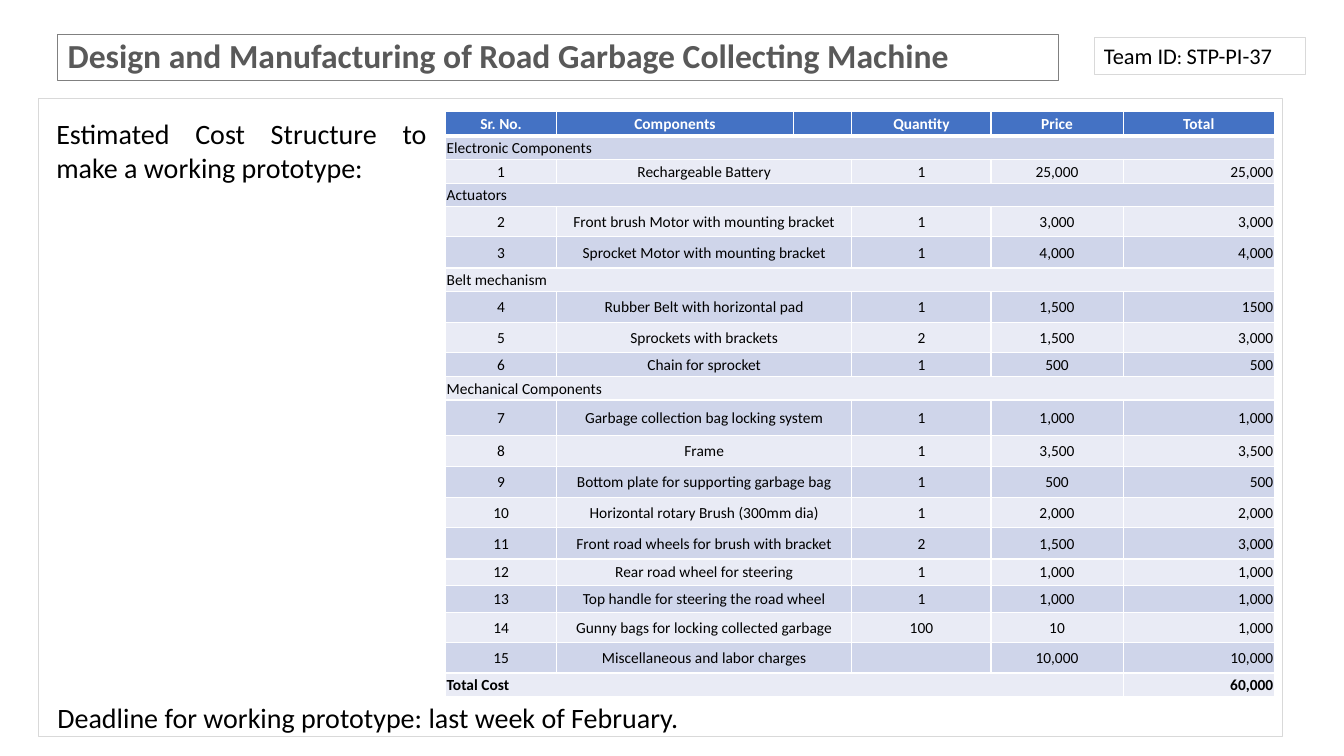
import pptx
import pptx.dml.color
import pptx.enum.shapes
import pptx.enum.text
import pptx.oxml
import pptx.oxml.ns
import pptx.util
from dataclasses import dataclass


@dataclass(frozen=True)
class Theme:
    font: str = "Calibri"
    black: str = "000000"
    white: str = "FFFFFF"
    title_text: str = "595959"
    title_line: str = "808080"
    light_line: str = "D9D9D9"
    header: str = "4472C4"
    bands: tuple = ("E9EBF5", "CFD5EA")
    title_size: int = 24
    body_size: int = 20
    team_size: int = 16
    colon_size: int = 14
    table_size: int = 11


theme = Theme()
color = pptx.dml.color.RGBColor.from_string
align = pptx.enum.text.PP_ALIGN
middle = pptx.enum.text.MSO_ANCHOR.MIDDLE
rectangle = pptx.enum.shapes.MSO_SHAPE.RECTANGLE

deck = pptx.Presentation()
deck.slide_width = pptx.util.Inches(13.33)
deck.slide_height = pptx.util.Inches(7.5)
page = deck.slides.add_slide(deck.slide_layouts[5])


def area(left, top, width, height):
    """Turn percentages of the slide's width and height into lengths."""
    across, down = deck.slide_width / 100, deck.slide_height / 100
    return [round(share * side) for share, side in
            zip((left, top, width, height), (across, down, across, down))]


def style_runs(para, size, ink, bold=False):
    for span in para.runs:
        span.font.name = theme.font
        span.font.size = pptx.util.Pt(size)
        span.font.bold = bold
        span.font.color.rgb = color(ink)


# Frame and team label
frame = page.shapes.add_shape(rectangle, *area(2.85, 12.93, 92.57, 84.4))
team = page.shapes.add_shape(rectangle, *area(81.4, 4.93, 15.68, 4.93))
for box in (frame, team):
    box.shadow.inherit = False
    box.fill.background()
    box.line.color.rgb = color(theme.light_line)
    box.line.width = pptx.util.Pt(0.25)

para = team.text_frame.paragraphs[0]
para.alignment = align.LEFT
for words in ("Team ID", ": ", "STP-PI-37"):
    para.add_run().text = words
style_runs(para, theme.team_size, theme.black)
para.runs[1].font.size = pptx.util.Pt(theme.colon_size)

# Title
title = page.shapes.title
title.left, title.top, title.width, title.height = area(4.28, 4.53, 74.49, 6.13)
title.line.color.rgb = color(theme.title_line)
title.line.width = pptx.util.Pt(0.75)
title.text_frame.text = "Design and Manufacturing of Road Garbage Collecting Machine"
title.text_frame.auto_size = pptx.enum.text.MSO_AUTO_SIZE.NONE
title.text_frame.vertical_anchor = middle
para = title.text_frame.paragraphs[0]
para.alignment = align.LEFT
para.line_spacing = 0.9
style_runs(para, theme.title_size, theme.title_text, True)

# Notes beside and below the table
for place, words, alignment in (
    ((3.45, 14.8, 29.03, 10.27),
     "Estimated Cost Structure to make a working prototype:", align.JUSTIFY),
    ((3.53, 92, 71.19, 5.87),
     "Deadline for working prototype: last week of February.", align.LEFT),
):
    box = page.shapes.add_textbox(*area(*place))
    box.text_frame.word_wrap = True
    box.text_frame.text = words
    para = box.text_frame.paragraphs[0]
    para.alignment = alignment
    style_runs(para, theme.body_size, theme.black)

# Cost table: row height in percent of the slide, then the texts.
# One text is a section heading, two are the sum, five are an item.
column_shares = (8.25, 17.63, 4.35, 10.35, 9.83, 11.25)
cost_rows = (
    (3.2, "Sr. No.", "Components", "Quantity", "Price", "Total"),
    (3.07, "Electronic Components"),
    (3.2, "1", "Rechargeable Battery", "1", "25,000", "25,000"),
    (3.07, "Actuators"),
    (4, "2", "Front brush Motor with mounting bracket", "1", "3,000", "3,000"),
    (4.13, "3", "Sprocket Motor with mounting bracket", "1", "4,000", "4,000"),
    (3.07, "Belt mechanism"),
    (4.13, "4", "Rubber Belt with horizontal pad", "1", "1,500", "1500"),
    (4, "5", "Sprockets with brackets", "2", "1,500", "3,000"),
    (3.2, "6", "Chain for sprocket", "1", "500", "500"),
    (3.07, "Mechanical Components"),
    (4.67, "7", "Garbage collection bag locking system", "1", "1,000", "1,000"),
    (4.13, "8", "Frame", "1", "3,500", "3,500"),
    (4.13, "9", "Bottom plate for supporting garbage bag", "1", "500", "500"),
    (4, "10", "Horizontal rotary Brush (300mm dia)", "1", "2,000", "2,000"),
    (4.13, "11", "Front road wheels for brush with bracket", "2", "1,500", "3,000"),
    (3.47, "12", "Rear road wheel for steering", "1", "1,000", "1,000"),
    (3.6, "13", "Top handle for steering the road wheel", "1", "1,000", "1,000"),
    (4, "14", "Gunny bags for locking collected garbage", "100", "10", "1,000"),
    (4, "15", "Miscellaneous and labor charges", "", "10,000", "10,000"),
    (3.07, "Total Cost", "60,000"),
)
starts_by_count = {1: (0,), 2: (0, 5), 5: (0, 1, 3, 4, 5)}
last_column = len(column_shares) - 1

table = page.shapes.add_table(
    len(cost_rows), len(column_shares), *area(33.16, 14.8, 61.67, 77.2)).table
for column, share in zip(table.columns, column_shares):
    column.width = round(share * deck.slide_width / 100)

for row, (height, *texts) in enumerate(cost_rows):
    table.rows[row].height = round(height * deck.slide_height / 100)
    is_header = row == 0
    is_sum = len(texts) == 2
    starts = starts_by_count[len(texts)]
    for index, cell in enumerate(table.rows[row].cells):
        cell.margin_left = cell.margin_top = cell.margin_right = pptx.util.Inches(0.01)
        cell.margin_bottom = 0
        cell.vertical_anchor = middle
        para = cell.text_frame.paragraphs[0]
        if index in starts:
            para.text = texts[starts.index(index)]
        if is_header or 0 < index < last_column or len(texts) == 5 and index == 0:
            para.alignment = align.CENTER
        else:
            para.alignment = align.RIGHT if index == last_column else align.LEFT
        style_runs(para, theme.table_size, theme.white if is_header else theme.black,
                   is_header or is_sum)
        # Empty cells need the small type size too, or their row grows
        para._p.get_or_add_endParaRPr().set("sz", str(theme.table_size * 100))

        properties = cell._tc.get_or_add_tcPr()
        for side in ("lnL", "lnR", "lnT", "lnB"):
            heavy = is_header and side == "lnB" or row == 1 and side == "lnT"
            width = pptx.util.Pt(3 if heavy else 1)
            properties.append(pptx.oxml.parse_xml(
                f'<a:{side} {pptx.oxml.ns.nsdecls("a")} w="{width}"><a:solidFill>'
                f'<a:srgbClr val="{theme.white}"/></a:solidFill></a:{side}>'))
        cell.fill.solid()
        cell.fill.fore_color.rgb = color(theme.header if is_header else theme.bands[row % 2])

    if not is_header:
        for start, end in zip(starts, starts[1:] + (last_column + 1,)):
            if end - start > 1:
                table.cell(row, start).merge(table.cell(row, end - 1))

deck.save("out.pptx")
